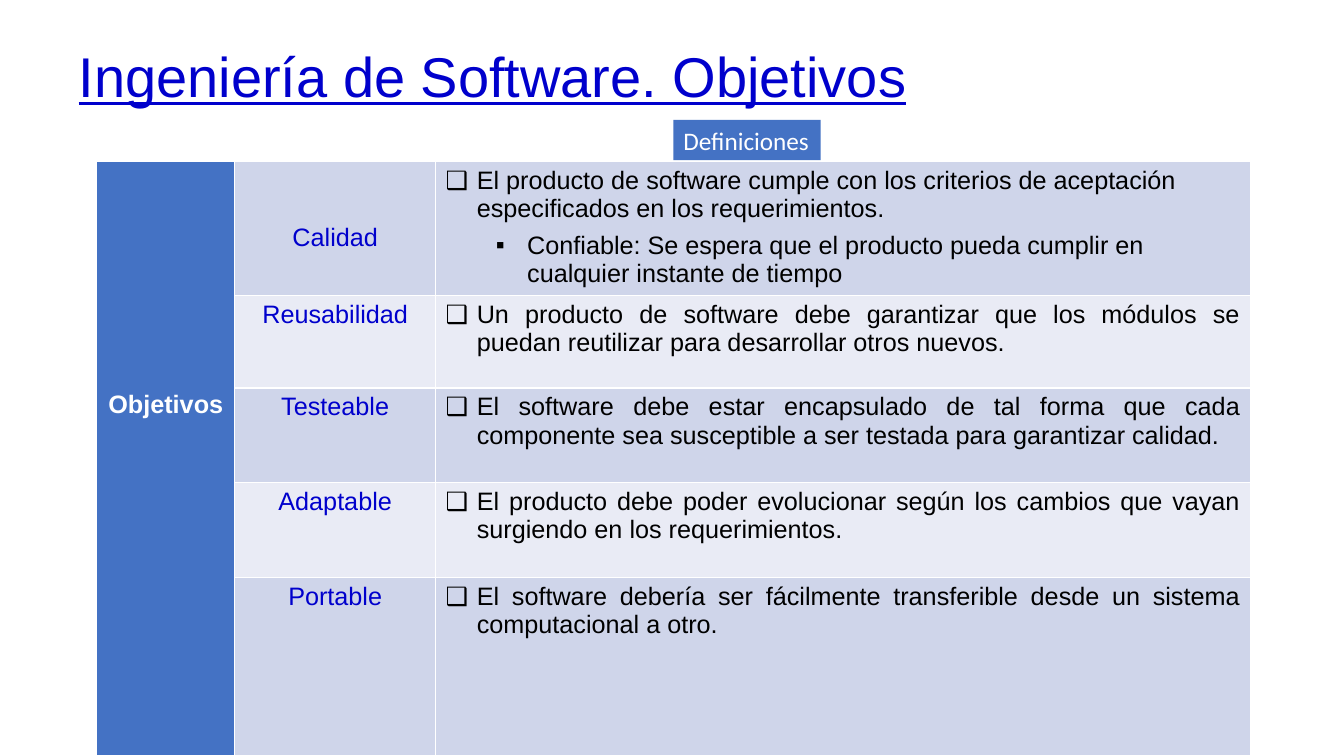
from lxml.etree import SubElement
from pptx import Presentation
from pptx.dml.color import RGBColor
from pptx.enum.shapes import MSO_SHAPE
from pptx.enum.text import MSO_ANCHOR, PP_ALIGN
from pptx.oxml.ns import qn
from pptx.util import Inches, Pt

WHITE = RGBColor(0xFF, 0xFF, 0xFF)
BLACK = RGBColor(0x00, 0x00, 0x00)
LINK_BLUE = RGBColor(0x00, 0x00, 0xCC)
ACCENT_BLUE = RGBColor(0x44, 0x72, 0xC4)
BANDS = (RGBColor(0xCF, 0xD5, 0xEA), RGBColor(0xE9, 0xEB, 0xF5))

COLUMN_WIDTHS = (1.37, 1.99, 8.08)
ROW_HEIGHTS = (1.33, 0.92, 0.94, 0.94, 1.77)
QUALITY_DETAIL = ("Confiable: Se espera que el producto pueda cumplir en "
                  "cualquier instante de tiempo")
GOALS = (
    ("Calidad", "El producto de software cumple con los criterios de aceptación "
                "especificados en los requerimientos."),
    ("Reusabilidad", "Un producto de software debe garantizar que los módulos se "
                     "puedan reutilizar para desarrollar otros nuevos."),
    ("Testeable", "El software debe estar encapsulado de tal forma que cada "
                  "componente sea susceptible a ser testada para garantizar calidad."),
    ("Adaptable", "El producto debe poder evolucionar según los cambios que vayan "
                  "surgiendo en los requerimientos."),
    ("Portable", "El software debería ser fácilmente transferible desde un sistema "
                 "computacional a otro."),
)


class SlideBuilder:
    def __init__(self, deck):
        self.slide = deck.slides.add_slide(deck.slide_layouts[5])
        self.font = "Arial"
        self.size = 18

    def add_text(self, para, text, color, align=PP_ALIGN.LEFT, size=None, font=None):
        para.alignment = align
        span = para.add_run()
        span.text = text
        span.font.name = font or self.font
        span.font.size = Pt(size or self.size)
        span.font.color.rgb = color
        span.font.bold = False
        return span

    def bullet(self, para, symbol, left):
        properties = para._p.get_or_add_pPr()
        properties.set("marL", str(Inches(left)))
        properties.set("indent", str(-Inches(0.31)))
        SubElement(properties, qn("a:buFont"), typeface=self.font)
        SubElement(properties, qn("a:buChar"), char=symbol)

    def title(self, text, left, top, width, height):
        box = self.slide.shapes.title
        box.left, box.top = Inches(left), Inches(top)
        box.width, box.height = Inches(width), Inches(height)
        frame = box.text_frame
        frame.vertical_anchor = MSO_ANCHOR.MIDDLE
        para = frame.paragraphs[0]
        para.line_spacing = 0.9
        self.add_text(para, text, LINK_BLUE, size=40).font.underline = True

    def label(self, text, left, top, width, height):
        box = self.slide.shapes.add_shape(
            MSO_SHAPE.RECTANGLE, Inches(left), Inches(top), Inches(width), Inches(height))
        box.shadow.inherit = False
        box.fill.solid()
        box.fill.fore_color.rgb = ACCENT_BLUE
        box.line.fill.background()
        box.text_frame.word_wrap = False
        self.add_text(box.text_frame.paragraphs[0], text, WHITE, font="Calibri")

    def table(self, left, top, widths, heights):
        table = self.slide.shapes.add_table(
            len(heights), len(widths), Inches(left), Inches(top),
            Inches(sum(widths)), Inches(sum(heights))).table
        table.first_row = table.horz_banding = False
        for column, width in zip(table.columns, widths):
            column.width = Inches(width)
        for row, height in zip(table.rows, heights):
            row.height = Inches(height)
        return table

    def style_cell(self, cell, color):
        properties = cell._tc.get_or_add_tcPr()
        for side in ("a:lnL", "a:lnR", "a:lnT", "a:lnB"):
            line = SubElement(properties, qn(side), w=str(Pt(1)))
            fill = SubElement(line, qn("a:solidFill"))
            SubElement(fill, qn("a:srgbClr"), val=str(WHITE))
        cell.fill.solid()
        cell.fill.fore_color.rgb = color


def fill_goals(builder, table):
    for index, (name, definition) in enumerate(GOALS):
        heading, name_cell, definition_cell = table.rows[index].cells
        builder.style_cell(heading, ACCENT_BLUE)
        for cell in (name_cell, definition_cell):
            builder.style_cell(cell, BANDS[index % 2])
        builder.add_text(name_cell.text_frame.paragraphs[0], name, LINK_BLUE,
                         PP_ALIGN.CENTER)
        para = definition_cell.text_frame.paragraphs[0]
        builder.bullet(para, "❑", 0.31)
        builder.add_text(para, definition, BLACK,
                         PP_ALIGN.JUSTIFY if index else PP_ALIGN.LEFT)

    table.cell(0, 1).margin_top = Inches(0.62)
    quality = table.cell(0, 2).text_frame
    quality.paragraphs[0].space_after = Pt(6)
    detail = quality.add_paragraph()
    detail.level = 1
    builder.bullet(detail, "▪", 0.81)
    builder.add_text(detail, QUALITY_DETAIL, BLACK)

    heading = table.cell(0, 0)
    heading.merge(table.cell(len(GOALS) - 1, 0))
    heading.vertical_anchor = MSO_ANCHOR.MIDDLE
    heading.margin_top, heading.margin_bottom = 0, Inches(1.06)
    builder.add_text(heading.text_frame.paragraphs[0], "Objetivos", WHITE,
                     PP_ALIGN.CENTER).font.bold = True


def main():
    deck = Presentation()
    deck.slide_width, deck.slide_height = Inches(13.33), Inches(7.5)
    builder = SlideBuilder(deck)
    builder.title("Ingeniería de Software. Objetivos", 0.68, 0.31, 12.08, 0.95)
    fill_goals(builder, builder.table(0.96, 1.6, COLUMN_WIDTHS, ROW_HEIGHTS))
    builder.label("Definiciones", 6.68, 1.19, 1.46, 0.4)
    deck.save("out.pptx")


if __name__ == "__main__":
    main()
